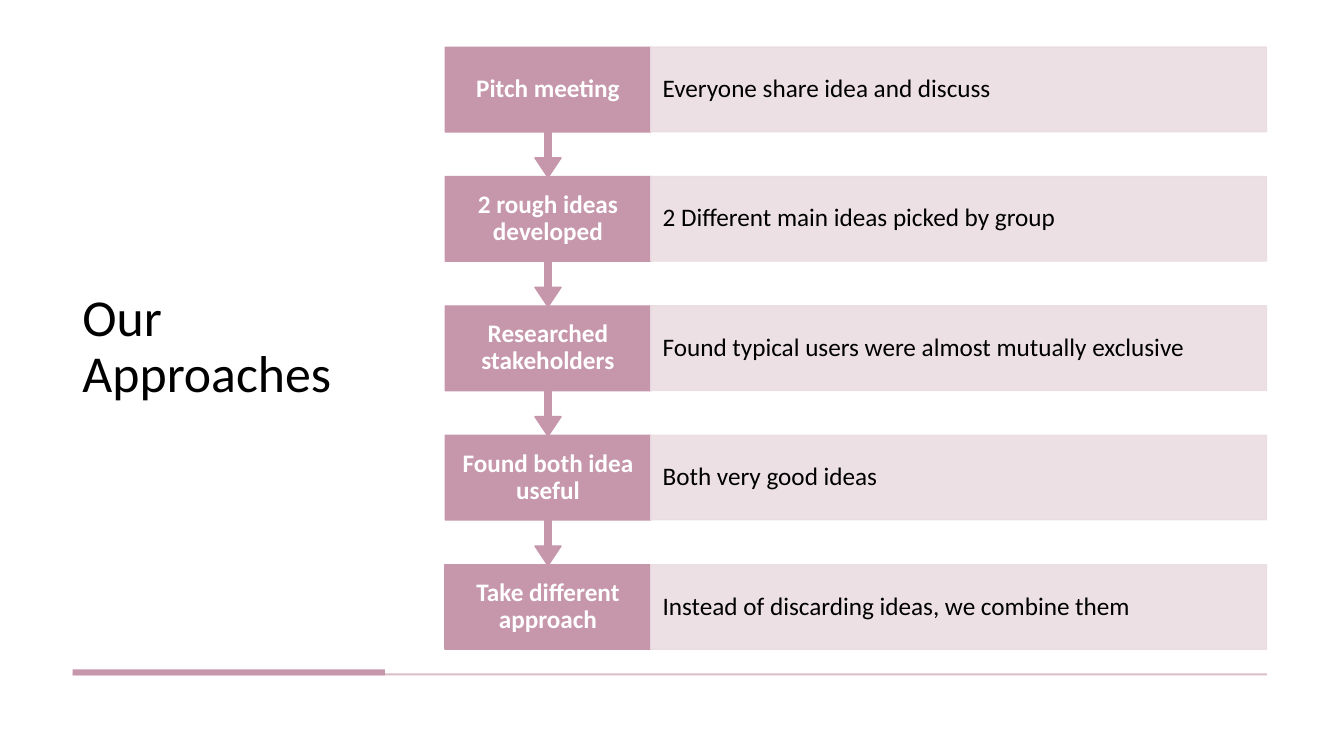
from pptx import Presentation
from pptx.dml.color import RGBColor
from pptx.enum.shapes import MSO_SHAPE as Kind
from pptx.enum.text import MSO_ANCHOR as Anchor, PP_ALIGN as Align
from pptx.oxml.ns import qn
from pptx.util import Cm, Pt
from lxml.etree import SubElement

ROSE, PALE, RULE = "C696AA", "EADDE2", "DBBDC9"
BLACK, WHITE = "000000", "FFFFFF"
TOP, STEP, HIGH = 1.19, 3.26, 2.13
LEFT, WIDE = 11.22, 5.18
STEPS = [
    ("Pitch meeting", "Everyone share idea and discuss"),
    ("2 rough ideas developed", "2 Different main ideas picked by group"),
    ("Researched stakeholders", "Found typical users were almost mutually exclusive"),
    ("Found both idea useful", "Both very good ideas"),
    ("Take different approach", "Instead of discarding ideas, we combine them"),
]


def paint(color, code):
    color.rgb = RGBColor.from_string(code)


def fade(shape, share):
    for color in shape._element.spPr.iter(qn("a:srgbClr")):
        SubElement(color, qn("a:alpha")).set("val", str(share * 1000))


def add_block(slide, kind, box, fill, line=None):
    shape = slide.shapes.add_shape(kind, *map(Cm, box))
    shape.shadow.inherit = False
    shape.fill.solid()
    paint(shape.fill.fore_color, fill)
    if line:
        paint(shape.line.color, line)
        shape.line.width = Pt(1)
    else:
        shape.line.fill.background()
    return shape


def set_text(shape, text, size, color, pad, bold=False, align=Align.LEFT):
    frame = shape.text_frame
    frame.text = text
    frame.word_wrap = True
    frame.vertical_anchor = Anchor.MIDDLE
    frame.margin_left = frame.margin_right = Cm(pad[0])
    frame.margin_top = frame.margin_bottom = Cm(pad[1])
    para = frame.paragraphs[0]
    para.alignment = align
    para.line_spacing = 0.9
    font = para.runs[0].font
    font.name, font.size, font.bold = "Calibri", Pt(size), bold
    paint(font.color, color)


def add_label(slide, box, *args, **style):
    set_text(slide.shapes.add_textbox(*map(Cm, box)), *args, **style)


def add_step(slide, top, name, note, last):
    if last:
        add_block(slide, Kind.RECTANGLE, (LEFT, top, WIDE, HIGH), ROSE, ROSE)
    else:
        call = add_block(slide, Kind.UP_ARROW_CALLOUT,
                         (LEFT, top, WIDE, 3.28), ROSE, ROSE)
        call.rotation = 180
        for i, part in enumerate((0.05, 0.1, 0.15, 0.65)):
            call.adjustments[i] = part
    add_label(slide, (LEFT, top, WIDE, HIGH), name, 18, WHITE, (0.36, 0.36),
              bold=True, align=Align.CENTER)
    band = add_block(slide, Kind.RECTANGLE,
                     (LEFT + WIDE, top, 15.52, HIGH), PALE, PALE)
    fade(band, 90)
    set_text(band, note, 18, BLACK, (0.3, 0.64))


def main():
    deck = Presentation()
    deck.slide_width, deck.slide_height = Cm(33.87), Cm(19.05)
    slide = deck.slides.add_slide(deck.slide_layouts[6])
    add_label(slide, (1.83, TOP, 7.87, 15.16), "Our Approaches", 37, BLACK,
              (0.25, 0.13))
    add_block(slide, Kind.RECTANGLE, (1.83, 16.97, 30.1, 0.05), RULE)
    add_block(slide, Kind.RECTANGLE, (1.83, 16.87, 7.87, 0.15), ROSE)
    for i, (name, note) in reversed(list(enumerate(STEPS))):
        add_step(slide, TOP + i * STEP, name, note, i == len(STEPS) - 1)
    deck.save("out.pptx")


if __name__ == "__main__":
    main()
